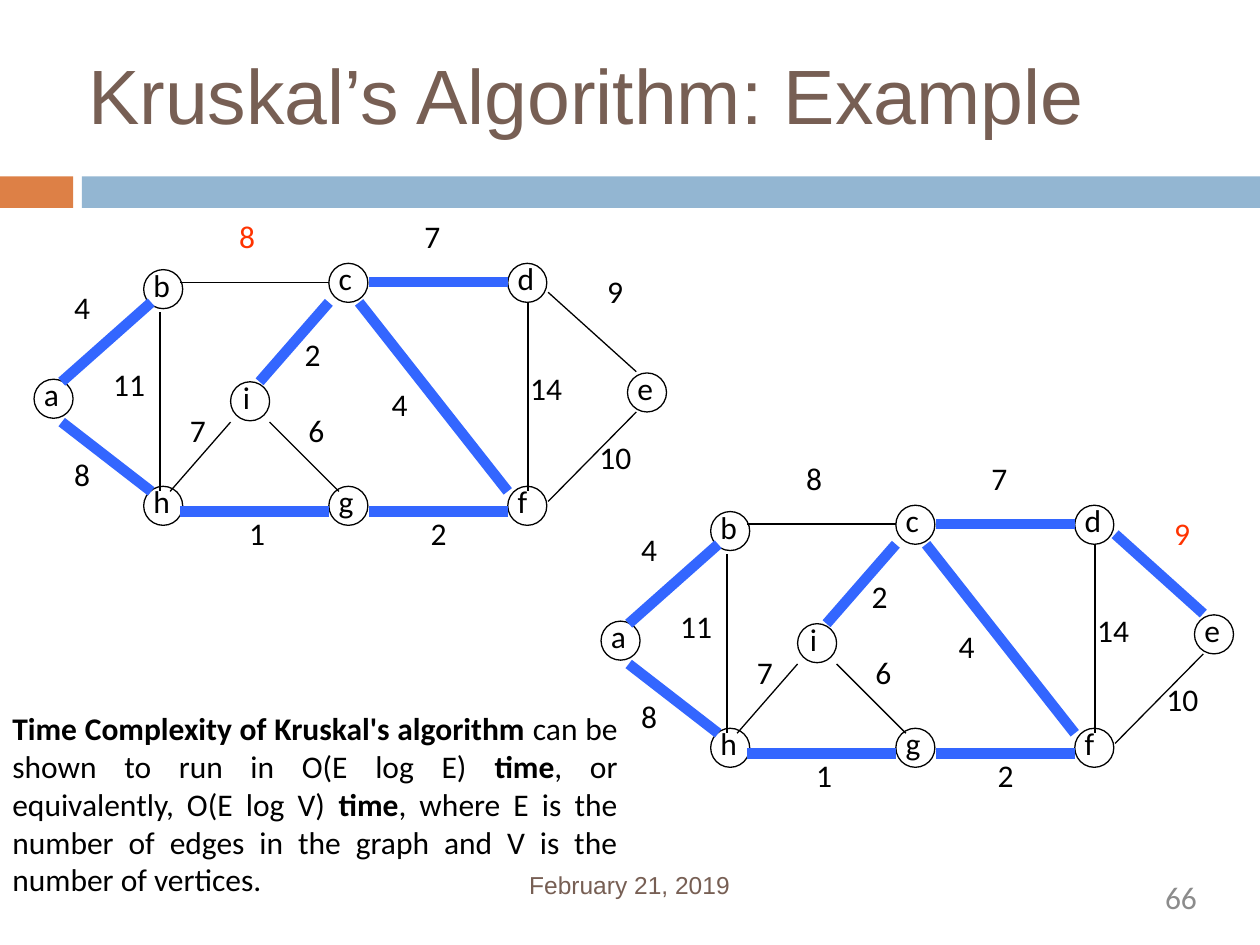
from dataclasses import dataclass

from lxml import etree
from pptx import Presentation
from pptx.dml.color import RGBColor
from pptx.enum.shapes import MSO_CONNECTOR, MSO_SHAPE
from pptx.enum.text import MSO_ANCHOR, PP_ALIGN
from pptx.oxml.ns import qn
from pptx.util import Emu, Pt

OVAL, RECTANGLE = MSO_SHAPE.OVAL, MSO_SHAPE.RECTANGLE
STRAIGHT = MSO_CONNECTOR.STRAIGHT
TOP = MSO_ANCHOR.TOP
LEFT, RIGHT, JUSTIFY = PP_ALIGN.LEFT, PP_ALIGN.RIGHT, PP_ALIGN.JUSTIFY

PX_PER_INCH = 100
SCALE = 914400 // PX_PER_INCH


@dataclass(frozen=True)
class Theme:
    heading_font: str = "Arial"
    body_font: str = "Calibri"
    heading: str = "775F54"
    accent: str = "DD8046"
    band: str = "93B6D2"
    ink: str = "000000"
    tree: str = "3366FF"
    current: str = "FF3300"
    page: str = "8C8C8C"
    title_size: int = 44
    body_size: int = 18
    date_size: int = 14
    thin: float = 0.75
    thick: float = 6


THEME = Theme()

NODE_SIZE = 31
LABEL_SHIFT = {"i": 0}  # other letters start 2 px left of their circle

# Top left corner of each circle, relative to the graph's box
NODES = {
    "a": (2, 134), "b": (89, 47), "h": (89, 219),
    "c": (236, 42), "d": (378, 42), "e": (473, 129),
    "f": (378, 219), "g": (236, 219), "i": (158, 136),
}

# Edge: start, end, weight, top left corner of the weight
EDGES = {
    "ab": ((24, 136), (95, 73), 4, (24, 57)),
    "ah": ((24, 168), (95, 223), 8, (24, 189)),
    "bh": ((102, 81), (102, 223), 11, (55, 118)),
    "bc": ((118, 57), (236, 57), 8, (155, 0)),
    "hg": ((118, 239), (236, 239), 1, (163, 236)),
    "gf": ((268, 239), (378, 239), 2, (307, 236)),
    "cf": ((260, 73), (378, 223), 4, (276, 134)),
    "cd": ((268, 57), (378, 57), 7, (302, 0)),
    "df": ((394, 73), (394, 223), 14, (386, 121)),
    "de": ((410, 65), (480, 128), 9, (447, 44)),
    "ef": ((410, 231), (480, 160), 10, (441, 176)),
    "ig": ((189, 168), (244, 223), 6, (210, 154)),
    "hi": ((110, 223), (158, 168), 7, (116, 154)),
    "ic": ((181, 136), (236, 73), 2, (207, 94)),
}
TREE = {"ab", "ah", "hg", "gf", "cf", "cd", "ic"}

COMPLEXITY = [
    ("Time Complexity of Kruskal's algorithm", True),
    (" can be shown to run in O(E log E) ", False),
    ("time", True),
    (", or equivalently, O(E log V) ", False),
    ("time", True),
    (", where E is the number of edges in the graph and V is "
     "the number of vertices.", False),
]


def px(*lengths):
    return [Emu(length * SCALE) for length in lengths]


def rgb(color):
    return RGBColor.from_string(color)


def add_text(shapes, box, content, *, size=THEME.body_size,
             font=THEME.body_font, color=THEME.ink, align=LEFT,
             inset=(10, 5), wrap=True, line_spacing=None):
    """Add a text box; content is a string or a list of (text, bold)."""
    frame = shapes.add_textbox(*px(*box)).text_frame
    frame.word_wrap = wrap
    frame.vertical_anchor = TOP
    side, edge = px(*inset)
    frame.margin_left = frame.margin_right = side
    frame.margin_top = frame.margin_bottom = edge
    paragraph = frame.paragraphs[0]
    paragraph.alignment = align
    if line_spacing:
        paragraph.line_spacing = Pt(line_spacing)
    runs = [(content, False)] if isinstance(content, str) else content
    for text, bold in runs:
        run = paragraph.add_run()
        run.text = text
        run.font.name = font
        run.font.size = Pt(size)
        run.font.bold = bold
        run.font.color.rgb = rgb(color)


def add_bar(shapes, box, color):
    bar = shapes.add_shape(RECTANGLE, *px(*box))
    bar.shadow.inherit = False
    bar.fill.solid()
    bar.fill.fore_color.rgb = rgb(color)
    bar.line.fill.background()


def add_node(shapes, left, top, letter):
    add_text(shapes, (left + LABEL_SHIFT.get(letter, -2), top - 8, 33, 43),
             letter, wrap=False)
    circle = shapes.add_shape(OVAL, *px(left, top, NODE_SIZE, NODE_SIZE))
    circle.shadow.inherit = False
    circle.fill.background()
    circle.line.color.rgb = rgb(THEME.ink)
    circle.line.width = Pt(THEME.thin)


def add_edge(shapes, start, end, in_tree):
    edge = shapes.add_connector(STRAIGHT, *px(*start, *end))
    edge.line.color.rgb = rgb(THEME.tree if in_tree else THEME.ink)
    edge.line.width = Pt(THEME.thick if in_tree else THEME.thin)
    etree.SubElement(edge._element.spPr, qn("a:effectLst"))


def add_graph(slide, left, top, tree, current):
    """Draw the graph with its tree edges thick and one weight highlighted."""
    shapes = slide.shapes.add_group_shape().shapes

    def place(point):
        return left + point[0], top + point[1]

    for letter, corner in NODES.items():
        add_node(shapes, *place(corner), letter)
    for name, (start, end, _, _) in EDGES.items():
        add_edge(shapes, place(start), place(end), name in tree)
    for name, (_, _, weight, corner) in EDGES.items():
        width = 53 if weight > 9 else 37
        add_text(shapes, (*place(corner), width, 50), str(weight), wrap=False,
                 color=THEME.current if name == current else THEME.ink)


def add_header(slide, left, top, width):
    shapes = slide.shapes
    add_bar(shapes, (left, top + 140, 58, 25), THEME.accent)
    add_bar(shapes, (left + 65, top + 140, width - 65, 25), THEME.band)
    add_text(shapes, (left + 70, top + 38, width - 140, 76),
             "Kruskal’s Algorithm: Example", size=THEME.title_size,
             font=THEME.heading_font, color=THEME.heading, inset=(0, 0))


def add_footer(slide, left, top):
    shapes = slide.shapes
    add_text(shapes, (left + 420, top, 231, 24), "February 21, 2019",
             size=THEME.date_size, font=THEME.heading_font,
             color=THEME.heading, inset=(0, 0), line_spacing=15.8)
    add_text(shapes, (left + 720, top + 5, 230, 38), "66",
             color=THEME.page, align=RIGHT, inset=(0, 0))


def main():
    presentation = Presentation()
    presentation.slide_width, presentation.slide_height = px(1000, 750)
    slide = presentation.slides.add_slide(presentation.slide_layouts[6])
    add_header(slide, 0, 0, 1000)
    add_footer(slide, 0, 692)
    add_graph(slide, 475, 359, TREE | {"de"}, current="de")
    add_graph(slide, 25, 167, TREE, current="bc")
    add_text(slide.shapes, (0, 558, 500, 162), COMPLEXITY, align=JUSTIFY)
    presentation.save("out.pptx")


if __name__ == "__main__":
    main()
